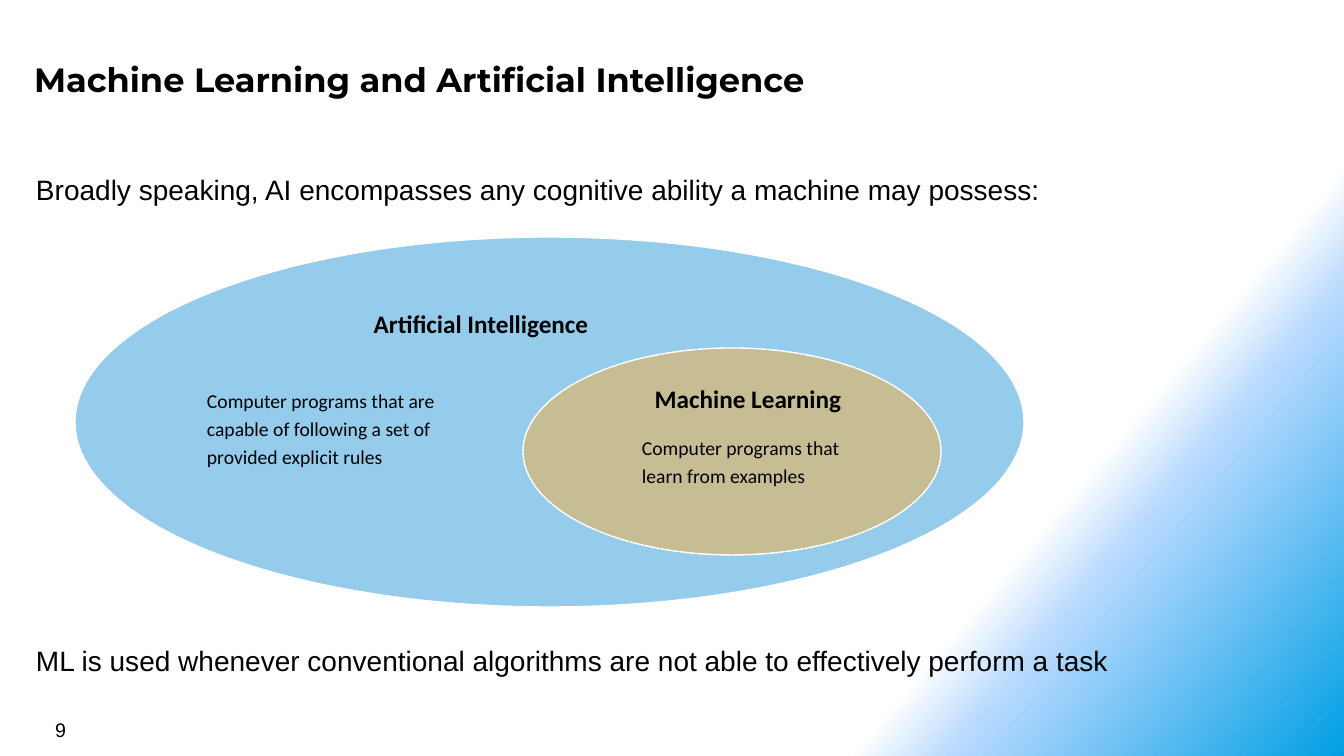
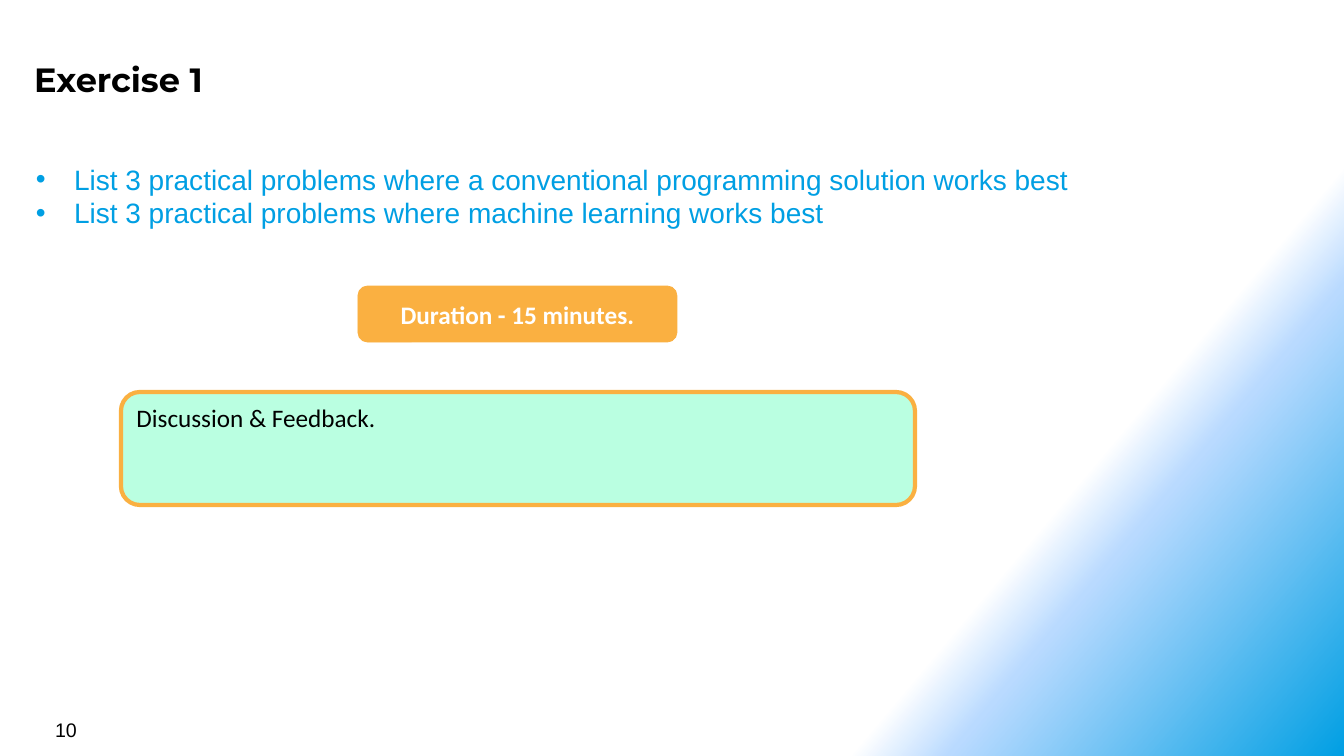
import dataclasses

import pptx
import pptx.dml.color
import pptx.enum.shapes
import pptx.enum.text
import pptx.oxml
import pptx.oxml.ns
import pptx.util
from lxml import etree

SCALE = 12192000 / 1344
ALIGN = pptx.enum.text.PP_ALIGN
ANCHOR = pptx.enum.text.MSO_ANCHOR
SHAPE = pptx.enum.shapes.MSO_SHAPE
qn = pptx.oxml.ns.qn


@dataclasses.dataclass(frozen=True)
class Theme:
    black: str = "000000"
    white: str = "FFFFFF"
    blue: str = "009FE3"
    pale: str = "B9DAFF"
    sky: str = "2D9AD9"
    orange: str = "FAB041"
    mint: str = "BAFFE1"
    head: str = "Montserrat"
    sans: str = "Arial"
    label: str = "Calibri"
    title: int = 24
    body: int = 20
    strong: int = 18
    small: int = 14


THEME = Theme()


def px(count):
    return pptx.util.Emu(round(count * SCALE))


def rgb(code):
    return pptx.dml.color.RGBColor.from_string(code)


def set_alpha(color, percent):
    etree.SubElement(color, qn("a:alpha")).set("val", str(percent * 1000))


def write(frame, text, font=THEME.sans, size=THEME.body, color=THEME.black,
          bold=False, align=ALIGN.LEFT, anchor=ANCHOR.TOP, inset=None,
          pitch=None, indent=0, bullet=None):
    """Fill a frame, one paragraph a line; inset is (sides, ends) in px."""
    frame.text = text
    frame.word_wrap = True
    frame.auto_size = pptx.enum.text.MSO_AUTO_SIZE.NONE
    frame.vertical_anchor = anchor
    side, end = inset or (10, 5)
    frame.margin_left = frame.margin_right = px(side)
    frame.margin_top = frame.margin_bottom = px(end)
    for para in frame.paragraphs:
        para.alignment = align
        para.space_before = pptx.util.Pt(0)
        if pitch:
            para.line_spacing = pptx.util.Pt(pitch)
        para.font.name = font
        para.font.size = pptx.util.Pt(size)
        para.font.bold = bold
        para.font.color.rgb = rgb(color)
        for run in para.runs:
            run.font.name = font
            run.font.size = pptx.util.Pt(size)
            run.font.bold = bold
            run.font.color.rgb = rgb(color)
        set_bullet(para, indent, bullet)


def set_bullet(para, indent, bullet):
    props = para._p.get_or_add_pPr()
    props.set("marL", str(px(indent)))
    props.set("indent", str(-px(indent)))
    mark = pptx.oxml.parse_xml(
        f'<a:{"buChar" if bullet else "buNone"} {pptx.oxml.ns.nsdecls("a")}/>')
    if bullet:
        mark.set("char", bullet)
    props.insert_element_before(mark, "a:tabLst", "a:defRPr", "a:extLst")


def place(shape, left, top, width, height):
    shape.left, shape.top = px(left), px(top)
    shape.width, shape.height = px(width), px(height)


def add_text(shapes, box, text, **style):
    write(shapes.add_textbox(*map(px, box)).text_frame, text, **style)


def add_form(shapes, kind, box, fill, line, weight, alpha=None):
    form = shapes.add_shape(kind, *map(px, box))
    form.shadow.inherit = False
    form.fill.solid()
    form.fill.fore_color.rgb = rgb(fill)
    form.line.color.rgb = rgb(line)
    form.line.width = pptx.util.Pt(weight)
    if alpha:
        set_alpha(form.element.spPr.find(".//" + qn("a:srgbClr")), alpha)
    return form


def paint_master(master):
    """Give every slide the diagonal white-to-blue background."""
    master.background.fill.gradient()
    grad = master.element.find(".//" + qn("a:gradFill"))
    stops = grad.find(qn("a:gsLst"))
    for stop in list(stops):
        stops.remove(stop)
    for where, code, alpha in ((75, THEME.white, None), (80, THEME.pale, 50),
                               (100, THEME.blue, None)):
        stop = etree.SubElement(stops, qn("a:gs"))
        stop.set("pos", str(where * 1000))
        color = etree.SubElement(stop, qn("a:srgbClr"))
        color.set("val", code)
        if alpha:
            set_alpha(color, alpha)
    grad.find(qn("a:lin")).set("ang", str(40 * 60000))


def add_slide(deck, title, number, body, top, height, **style):
    slide = deck.slides.add_slide(deck.slide_layouts[1])
    head, main_text = slide.placeholders
    place(head, 26, 51, 1236, 55)
    write(head.text_frame, title, font=THEME.head, size=THEME.title,
          bold=True, inset=(8, 8))
    place(main_text, 26, top, 1278, height)
    write(main_text.text_frame, body, **style)
    add_text(slide.shapes, (45, 713, 313, 33), str(number), size=THEME.small)
    return slide


def add_set(shapes, oval, fill, title, title_box, text, text_box):
    """Draw one oval of the nested diagram with its heading and text."""
    add_form(shapes, SHAPE.OVAL, oval, fill, THEME.white, 1, alpha=50)
    add_text(shapes, title_box, title, font=THEME.label, size=THEME.strong,
             bold=True, align=ALIGN.CENTER, inset=(0, 0))
    add_text(shapes, text_box, text, font=THEME.label, size=THEME.small,
             pitch=20, inset=(0, 0))


def add_scope(deck):
    slide = add_slide(
        deck, "Machine Learning and Artificial Intelligence", 9,
        "Broadly speaking, AI encompasses any cognitive ability "
        "a machine may possess:", 167, 44)
    shapes = slide.shapes.add_group_shape().shapes
    add_set(shapes, (75, 237, 949, 370), THEME.sky,
            "Artificial Intelligence", (331, 308, 300, 31),
            "Computer programs that are\ncapable of following a set of\n"
            "provided explicit rules", (207, 384, 300, 84))
    add_set(shapes, (523, 348, 418, 207), THEME.orange,
            "Machine Learning", (628, 383, 240, 31),
            "Computer programs that\nlearn from examples",
            (642, 431, 240, 56))
    add_text(slide.shapes, (26, 638, 1278, 44),
             "ML is used whenever conventional algorithms are not able to "
             "effectively perform a task")


def add_task(deck):
    slide = add_slide(
        deck, "Exercise 1", 10,
        "List 3 practical problems where a conventional programming "
        "solution works best\n"
        "List 3 practical problems where machine learning works best",
        157, 78, color=THEME.blue, indent=38, bullet="•")
    time = add_form(slide.shapes, SHAPE.ROUNDED_RECTANGLE,
                    (358, 286, 319, 56), THEME.orange, THEME.orange, 0.5)
    write(time.text_frame, "Duration - 15 minutes.", font=THEME.label,
          size=THEME.strong, color=THEME.white, bold=True,
          align=ALIGN.CENTER, anchor=ANCHOR.MIDDLE)
    talk = add_form(slide.shapes, SHAPE.ROUNDED_RECTANGLE,
                    (121, 392, 794, 113), THEME.mint, THEME.orange, 3)
    write(talk.text_frame, "Discussion & Feedback.", font=THEME.label,
          size=THEME.strong)


def main():
    deck = pptx.Presentation()
    deck.slide_width, deck.slide_height = px(1344), px(756)
    paint_master(deck.slide_master)
    add_scope(deck)
    add_task(deck)
    deck.save("out.pptx")


if __name__ == "__main__":
    main()
